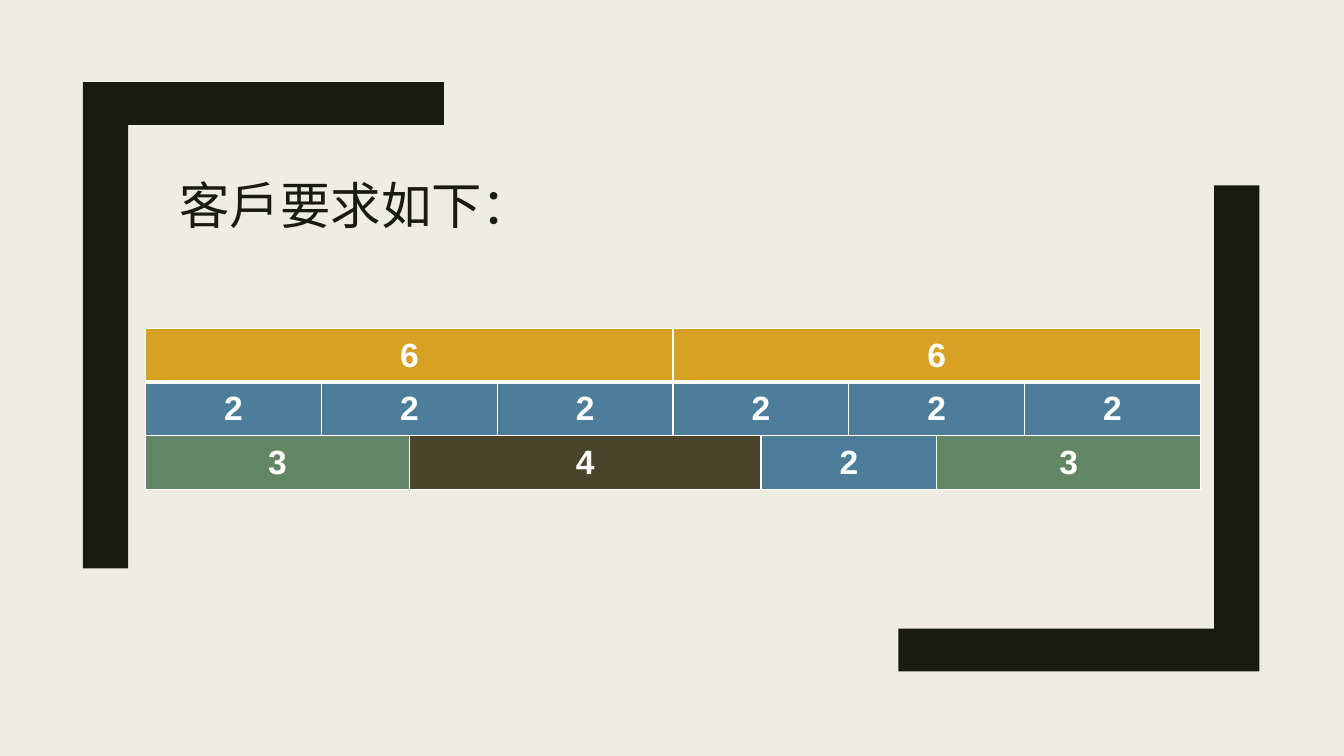
from lxml import etree
from pptx import Presentation, util as u
from pptx.dml import color
from pptx.enum import text
from pptx.oxml import ns


def rgb(value):
    return color.RGBColor.from_string(value)


def set_border(cell, position, side, points):
    line = etree.Element(ns.qn(f"a:ln{side}"), w=str(u.Pt(points)))
    fill = etree.SubElement(line, ns.qn("a:solidFill"))
    etree.SubElement(fill, ns.qn("a:srgbClr"), val=WHITE)
    cell._tc.get_or_add_tcPr().insert(position, line)


WHITE = "FFFFFF"
DARK = "191B0E"
LENGTH_COLORS = {2: "4D7D99", 3: "638764", 4: "4A452A", 6: "D7A124"}

presentation = Presentation()
presentation.slide_width = u.Cm(33.87)
presentation.slide_height = u.Cm(19.05)
slide = presentation.slides.add_slide(presentation.slide_layouts[5])
slide.background.fill.solid()
slide.background.fill.fore_color.rgb = rgb("EFEDE3")

bracket_width, bracket_height = 9.1, 12.25
side_thickness, bar_thickness = 1.14, 1.08
outline = [
    (0, 0),
    (bracket_width, 0),
    (bracket_width, bar_thickness),
    (side_thickness, bar_thickness),
    (side_thickness, bracket_height),
    (0, bracket_height),
]
for corner_x, corner_y, direction in [(31.74, 16.92, -1), (2.09, 2.07, 1)]:
    points = [
        (u.Cm(corner_x + direction * x), u.Cm(corner_y + direction * y))
        for x, y in outline
    ]
    builder = slide.shapes.build_freeform(*points[0])
    builder.add_line_segments(points[1:], close=True)
    bracket = builder.convert_to_shape()
    bracket.shadow.inherit = False
    bracket.fill.solid()
    bracket.fill.fore_color.rgb = rgb(DARK)
    bracket.line.fill.background()

title = slide.shapes.title
title.left, title.top = u.Cm(4.27), u.Cm(3.5)
title.width, title.height = u.Cm(25.4), u.Cm(13.6)
title.text_frame.text = "客戶要求如下："
title.text_frame.vertical_anchor = text.MSO_ANCHOR.TOP
title.text_frame.auto_size = text.MSO_AUTO_SIZE.NONE
paragraph = title.text_frame.paragraphs[0]
paragraph.alignment = text.PP_ALIGN.LEFT
paragraph.line_spacing = 1.5
paragraph.font.name = "Cabin"
paragraph.font.size = u.Pt(36)
paragraph.font.color.rgb = rgb(DARK)

column_units = [2, 1, 1, 2, 1, 1, 1, 1, 2]
length_rows = [[6, 6], [2] * 6, [3, 4, 2, 3]]
table_width, row_height = 26.59, 1.35
table = slide.shapes.add_table(
    len(length_rows), len(column_units),
    u.Cm(3.67), u.Cm(8.28), u.Cm(table_width), u.Cm(row_height * len(length_rows)),
).table
table.first_row = False
table.horz_banding = False
for column, units in zip(table.columns, column_units):
    column.width = u.Cm(table_width * units / sum(column_units))

for row, lengths in enumerate(length_rows):
    table.rows[row].height = u.Cm(row_height)
    first = 0
    for length in lengths:
        last = first
        while sum(column_units[first:last + 1]) < length:
            last += 1
        cell = table.cell(row, first)
        if last > first:
            cell.merge(table.cell(row, last))
        cell.text = str(length)
        cell.vertical_anchor = text.MSO_ANCHOR.MIDDLE
        paragraph = cell.text_frame.paragraphs[0]
        paragraph.alignment = text.PP_ALIGN.CENTER
        paragraph.font.name = "Arial"
        paragraph.font.size = u.Pt(24)
        paragraph.font.bold = True
        paragraph.font.color.rgb = rgb(WHITE)
        for column in range(first, last + 1):
            part = table.cell(row, column)
            part.fill.solid()
            part.fill.fore_color.rgb = rgb(LENGTH_COLORS[length])
            widths = {"L": 1, "R": 1, "T": 3 if row == 1 else 1, "B": 3 if row == 0 else 1}
            for position, (side, width) in enumerate(widths.items()):
                set_border(part, position, side, width)
        first = last + 1

presentation.save("out.pptx")
